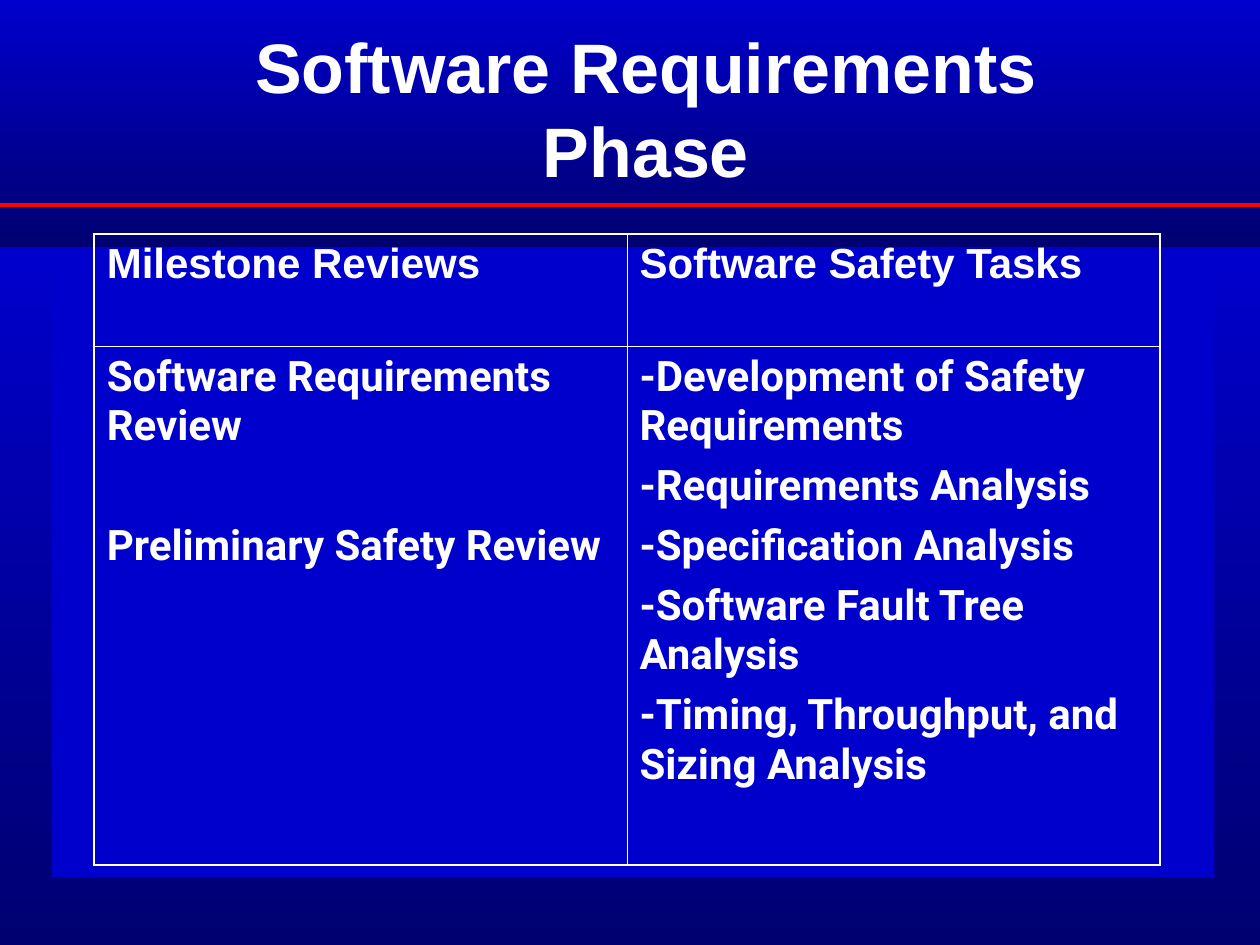
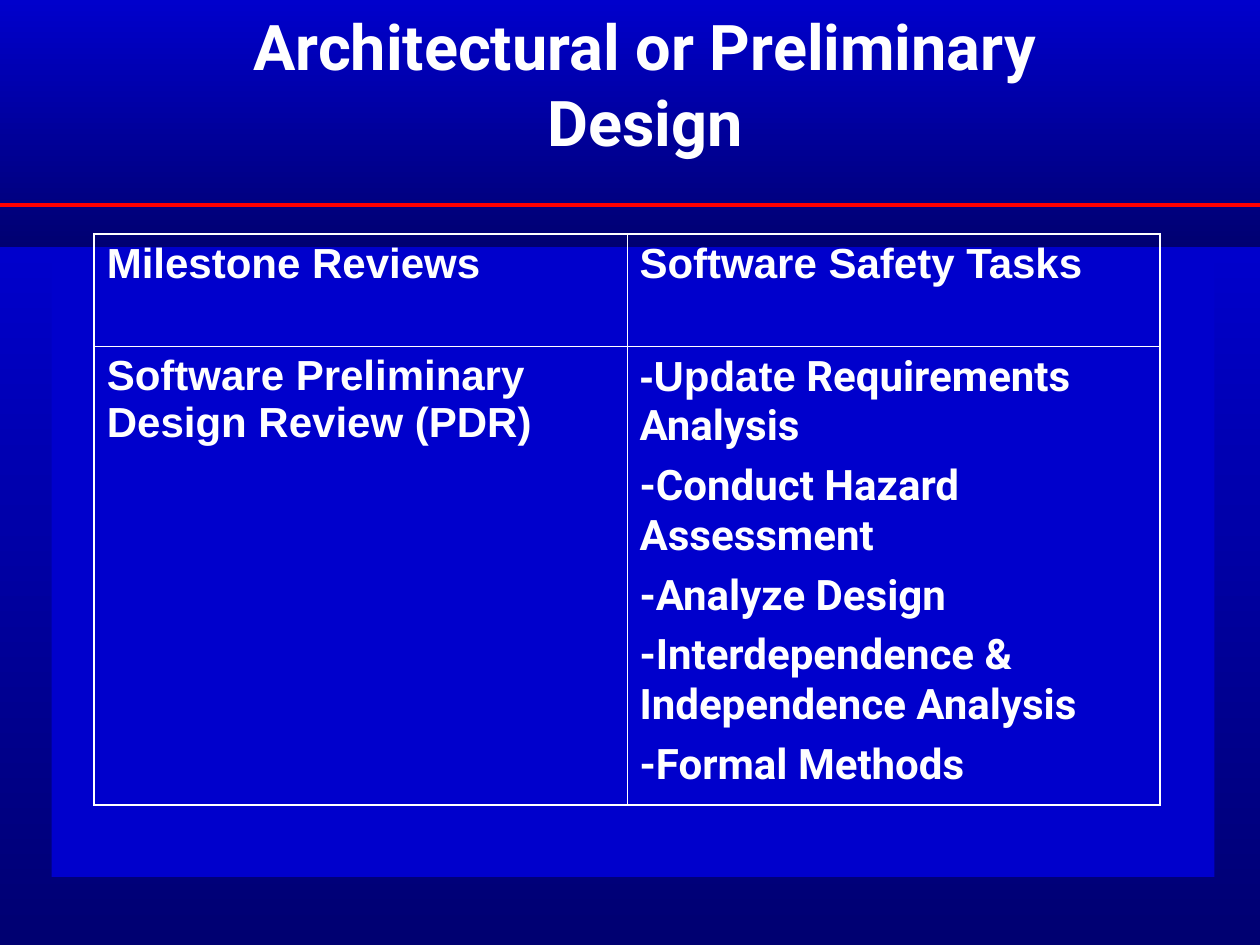
import pptx
import pptx.dml.color
import pptx.enum.shapes
import pptx.enum.text
import pptx.oxml
import pptx.oxml.ns
import pptx.util
from pptx.util import Cm


def tint(code):
    return pptx.dml.color.RGBColor.from_string(code)


# Colours, fonts and type sizes
THEME = {
    "back": "3333CC", "bright": "0000CC", "dark": "000071",
    "rule": "FF0000", "text": "FFFFFF",
    "plain": "Arial", "round": "Roboto",
    "cell": 24, "gap": 6, "skip": 40,
    "thick": 1.08, "thin": 0.45, "stripe": 2.25,
}
WIDE, HIGH = 25.4, 19.05
SPLIT = 4.99
HEAD = ["Milestone Reviews", "Software Safety Tasks"]
PLAIN, ROUND = THEME["plain"], THEME["round"]

# Each cell is a face and its lines; a line is text or (text, face) runs.
# An empty line stands for a wider gap before the next one.
PAGES = [
    {"title": "Software Requirements Phase", "face": PLAIN, "size": 40,
     "box": (4.5, 0.58, 17.04, 3.18), "rows": (2.26, 10.46),
     "cells": [
         (ROUND, ["Software Requirements Review", "", "Preliminary Safety Review"]),
         (ROUND, ["-Development of Safety Requirements", "-Requirements Analysis",
                  "-Specification Analysis", "-Software Fault Tree Analysis",
                  "-Timing, Throughput, and Sizing Analysis"])]},
    {"title": "Architectural or Preliminary Design", "face": ROUND, "size": 36,
     "box": (4.5, 0.2, 17, 2.97), "rows": (2.26, 9.25),
     "cells": [
         (PLAIN, ["Software Preliminary Design Review (PDR)"]),
         (ROUND, [[("-Update", PLAIN), (" Requirements Analysis", ROUND)],
                  "-Conduct Hazard Assessment", "-Analyze Design",
                  "-Interdependence & Independence Analysis", "-Formal Methods"])]},
]


def apply(thing, form):
    for name, value in form.items():
        setattr(thing, name, value)


def style(font, face, size):
    apply(font, {"name": face, "size": pptx.util.Pt(size), "bold": True})
    font.color.rgb = tint(THEME["text"])


# Filled block, plain or shaded from top to bottom
def block(shapes, box, stops):
    shape = shapes.add_shape(pptx.enum.shapes.MSO_SHAPE.RECTANGLE, *map(Cm, box))
    shape.shadow.inherit = False
    shape.line.fill.background()
    if len(stops) == 1:
        shape.fill.solid()
        shape.fill.fore_color.rgb = tint(stops[0])
    else:
        shape.fill.gradient()
        shape.fill.gradient_angle = 270
        for stop, code in zip(shape.fill.gradient_stops, stops):
            stop.color.rgb = tint(code)
    return shape


def stripe(shapes, left, top, width):
    line = shapes.add_connector(pptx.enum.shapes.MSO_CONNECTOR.STRAIGHT,
                                Cm(left), Cm(top), Cm(left + width), Cm(top))
    line.line.color.rgb = tint(THEME["rule"])
    line.line.width = pptx.util.Pt(THEME["stripe"])
    effect = pptx.oxml.parse_xml("<a:effectLst %s/>" % pptx.oxml.ns.nsdecls("a"))
    line._element.spPr.append(effect)
    return line


# Shared backdrop, drawn once and moved to the layout
def backdrop(layout, slide):
    layout.background.fill.solid()
    layout.background.fill.fore_color.rgb = tint(THEME["back"])
    shapes, shade = slide.shapes, (THEME["bright"], THEME["dark"])
    parts = [
        block(shapes, (0, 0, WIDE, SPLIT - 0.01), shade),
        block(shapes, (0, SPLIT, WIDE, HIGH - SPLIT), shade),
        block(shapes, (1.04, 5.03, 23.44, 12.65), shade[:1]),
        stripe(shapes, 0, 4.14, WIDE),
    ]
    for spot, part in enumerate(parts):
        part._element.xpath(".//p:cNvPr")[0].set("id", str(50 + spot))
        layout.shapes._spTree.insert(2 + spot, part._element)


def heading(slide, page):
    title = slide.shapes.title
    apply(title, dict(zip(("left", "top", "width", "height"), map(Cm, page["box"]))))
    frame = title.text_frame
    apply(frame, {"word_wrap": True, "auto_size": pptx.enum.text.MSO_AUTO_SIZE.NONE,
                  "vertical_anchor": pptx.enum.text.MSO_ANCHOR.MIDDLE})
    frame.text = page["title"]
    para = frame.paragraphs[0]
    para.alignment = pptx.enum.text.PP_ALIGN.CENTER
    style(para.runs[0].font, page["face"], page["size"])


# Cell borders: thick on the outer edge, thin inside
def border(cell, outer):
    props = cell._tc.get_or_add_tcPr()
    for spot, side in enumerate("LRTB"):
        width = pptx.util.Pt(THEME["thick" if side in outer else "thin"])
        props.insert(spot, pptx.oxml.parse_xml(
            '<a:ln%s %s w="%d"><a:solidFill><a:srgbClr val="%s"/></a:solidFill></a:ln%s>'
            % (side, pptx.oxml.ns.nsdecls("a"), width, THEME["text"], side)))


def write(cell, face, lines):
    frame, before = cell.text_frame, 0
    para = frame.paragraphs[0]
    for line in lines:
        if not line:
            before = THEME["skip"]
            continue
        if para.runs:
            para = frame.add_paragraph()
        para.space_before = pptx.util.Pt(before)
        for text, font in [(line, face)] if isinstance(line, str) else line:
            run = para.add_run()
            run.text = text
            style(run.font, font, THEME["cell"])
        before = THEME["gap"]


def grid(slide, left, top, width, page):
    body = [[(PLAIN, [text]) for text in HEAD], page["cells"]]
    table = slide.shapes.add_table(len(body), len(HEAD), Cm(left), Cm(top),
                                   Cm(width), Cm(sum(page["rows"]))).table
    apply(table, {"first_row": False, "horz_banding": False})
    for column in table.columns:
        column.width = Cm(width / len(HEAD))
    for row, height in zip(table.rows, page["rows"]):
        row.height = Cm(height)
    for down, line in enumerate(body):
        for over, (face, lines) in enumerate(line):
            cell = table.cell(down, over)
            cell.fill.background()
            border(cell, "TB"[down] + "LR"[over])
            write(cell, face, lines)


def main():
    deck = pptx.Presentation()
    apply(deck, {"slide_width": Cm(WIDE), "slide_height": Cm(HIGH)})
    layout = deck.slide_layouts.get_by_name("Title Only")
    for count, page in enumerate(PAGES):
        slide = deck.slides.add_slide(layout)
        if count == 0:
            backdrop(layout, slide)
        heading(slide, page)
        grid(slide, 1.9, 4.72, 21.48, page)
    deck.save("out.pptx")


if __name__ == "__main__":
    main()
